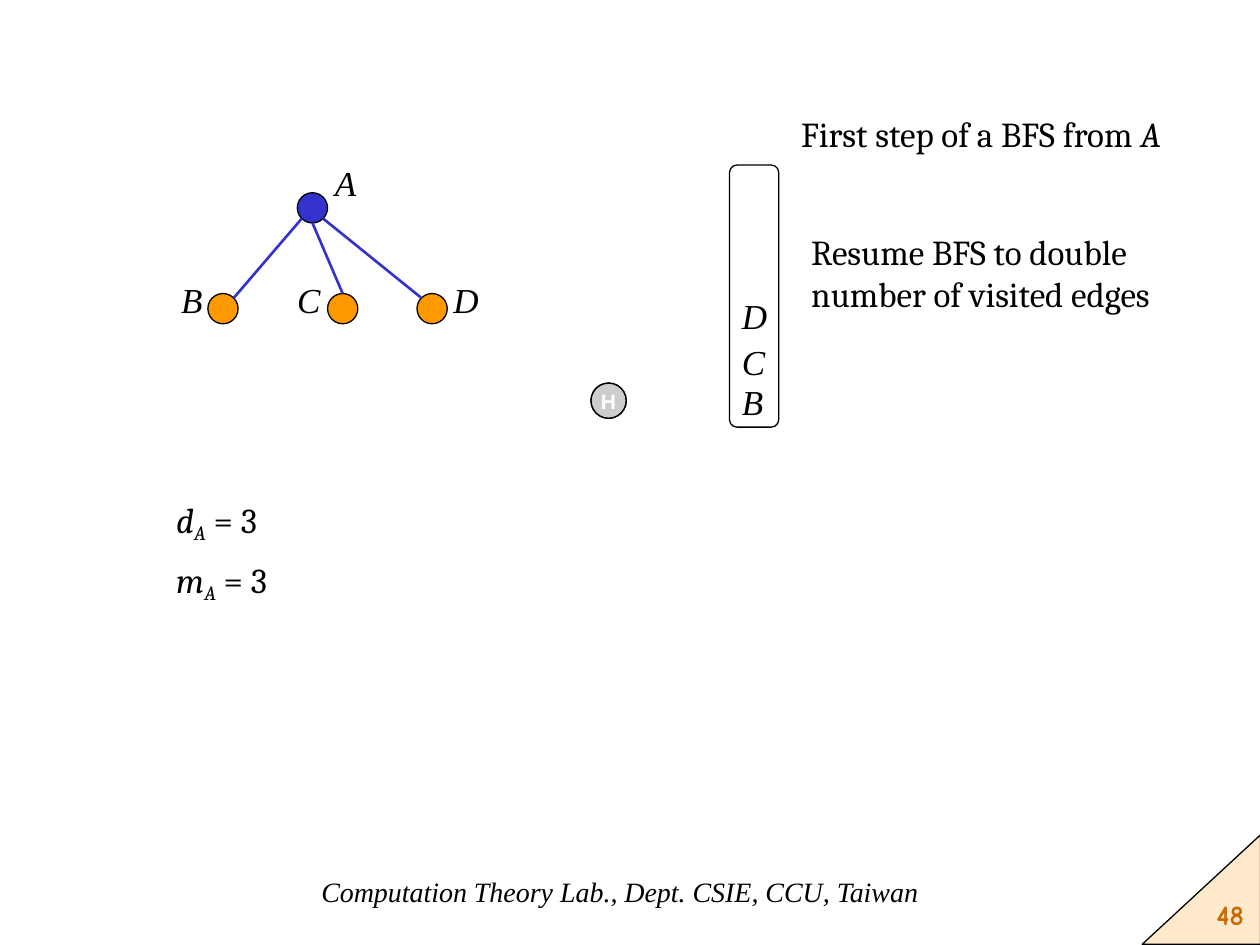
from math import cos, radians, sin

from lxml.etree import SubElement
from pptx import Presentation
from pptx.dml.color import RGBColor
from pptx.enum.shapes import MSO_CONNECTOR as LINK, MSO_SHAPE as SHAPE
from pptx.enum.text import MSO_ANCHOR as ANCHOR, PP_ALIGN as ALIGN
from pptx.oxml.ns import qn
from pptx.util import Inches, Pt

SERIF, BODY = "Times New Roman", "Cambria"
BLACK, BLUE, ORANGE, GREY = "000000", "3333CC", "FF9900", "B2B2B2"
NODE = 0.24
NODES = {
    "A": (2.48, 1.65, BLUE),
    "B": (1.77, 2.45, ORANGE),
    "C": (2.72, 2.45, ORANGE),
    "D": (3.43, 2.45, ORANGE),
}
EDGES = [("A", 135, "B", 315), ("A", 90, "C", 270), ("A", 45, "D", 225)]
NODE_LABELS = [("A", 2.56, 1.23), ("B", 1.34, 2.16), ("C", 2.26, 2.16), ("D", 3.5, 2.16)]
QUEUE = (5.79, 1.31, 0.39, 2.08)
QUEUE_LABELS = [("B", 2.97), ("C", 2.65), ("D", 2.29)]
NOTES = [
    ((6.26, 0.84, 3.54, 0.77), [("First step of a BFS from ", ""), ("A", "i")]),
    ((6.34, 1.78, 3.54, 0.77), [("Resume BFS to double number of visited edges", "")]),
    ((1.3, 4.38, 1.42, 0.47), [("m", "i"), ("A", "is"), (" = 3", "")]),
    ((1.3, 3.91, 1.42, 0.47), [("d", "i"), ("A", "is"), (" = 3", "")]),
]
FOOTER = "Computation Theory Lab., Dept. CSIE, CCU, Taiwan"


def color(value):
    return RGBColor.from_string(value)


def write(box, spans, font=BODY, size=20, fill=BLACK, align=ALIGN.LEFT, wrap=True):
    frame = box.text_frame
    frame.word_wrap = wrap
    para = frame.paragraphs[0]
    para.alignment = align
    for text, style in spans:
        span = para.add_run()
        span.text = text
        span.font.name, span.font.size = font, Pt(size)
        span.font.color.rgb = color(fill)
        span.font.italic, span.font.bold = "i" in style, "b" in style
        if "s" in style:
            span.font._element.set("baseline", "-20000")


def add_text(page, place, spans, **style):
    write(page.shapes.add_textbox(*map(Inches, place)), spans, **style)


def add_outlined(page, kind, place, fill=None, alpha=100):
    shape = page.shapes.add_shape(kind, *map(Inches, place))
    shape.shadow.inherit = False
    shape.line.color.rgb = color(BLACK)
    shape.line.width = Pt(0.75)
    if fill is None:
        shape.fill.background()
        return shape
    shape.fill.solid()
    shape.fill.fore_color.rgb = color(fill)
    if alpha < 100:
        tint = shape._element.spPr.find(qn("a:solidFill"))[0]
        SubElement(tint, qn("a:alpha")).set("val", str(alpha * 1000))
    return shape


def rim_point(name, angle):
    x, y, _ = NODES[name]
    turn = radians(angle)
    return Inches(x + NODE / 2 * cos(turn)), Inches(y + NODE / 2 * sin(turn))


def add_edge(page, parent, leaving, child, arriving):
    edge = page.shapes.add_connector(
        LINK.STRAIGHT, *rim_point(parent, leaving), *rim_point(child, arriving))
    edge.line.color.rgb = color(BLUE)
    edge.line.width = Pt(1.5)
    SubElement(edge._element.spPr, qn("a:effectLst"))


def main():
    """Build the slide showing the first step of a breadth-first search."""
    deck = Presentation()
    deck.slide_width, deck.slide_height = Inches(10), Inches(7.5)
    page = deck.slides.add_slide(deck.slide_layouts[6])

    corner = add_outlined(page, SHAPE.RIGHT_TRIANGLE, (9.1, 6.59, 0.87, 0.94), ORANGE, 20)
    corner.rotation = 270

    for x, y, fill in NODES.values():
        add_outlined(page, SHAPE.OVAL, (x - NODE / 2, y - NODE / 2, NODE, NODE), fill)
    for edge in EDGES:
        add_edge(page, *edge)
    for name, left, top in NODE_LABELS:
        add_text(page, (left, top, 0.47, 0.44), [(name, "i")], font=SERIF)

    queue = add_outlined(page, SHAPE.ROUNDED_RECTANGLE, QUEUE)
    queue.adjustments[0] = 0.15
    for name, top in QUEUE_LABELS:
        add_text(page, (QUEUE[0], top, QUEUE[2], 0.44), [(name, "i")], font=SERIF)

    for _ in range(2):
        badge = add_outlined(page, SHAPE.OVAL, (4.69, 3.04, 0.28, 0.28), GREY, 40)
    badge.text_frame.vertical_anchor = ANCHOR.MIDDLE
    write(badge, [("H", "b")], font="Arial", size=12, fill="FFFFFF",
          align=ALIGN.CENTER, wrap=False)

    for place, spans in NOTES:
        add_text(page, place, spans)
    add_text(page, (2.32, 6.89, 5.2, 0.52), [(FOOTER, "i")],
             font=SERIF, size=16, align=ALIGN.CENTER)
    add_text(page, (9.26, 7.07, 0.71, 0.52), [("48", "b")],
             font="Comic Neue", size=16, fill="CC6600", align=ALIGN.RIGHT)
    deck.save("out.pptx")


if __name__ == "__main__":
    main()
